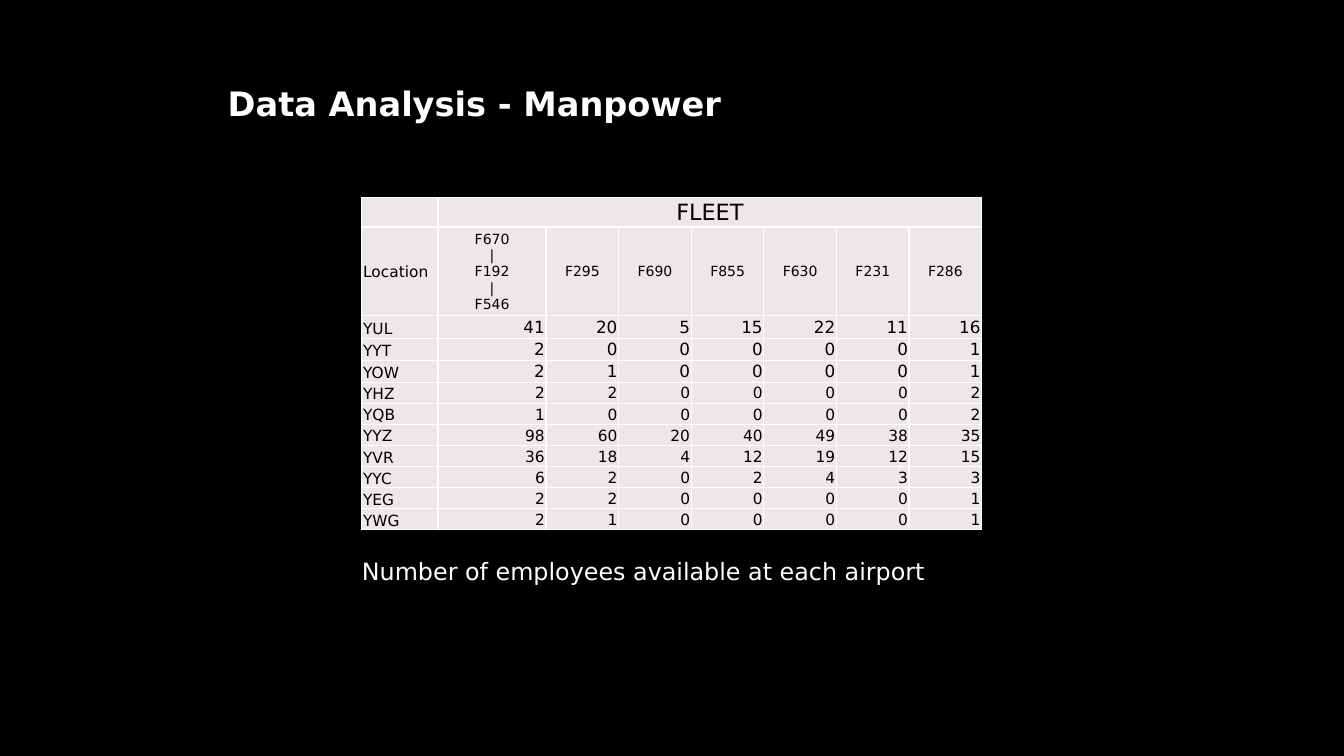
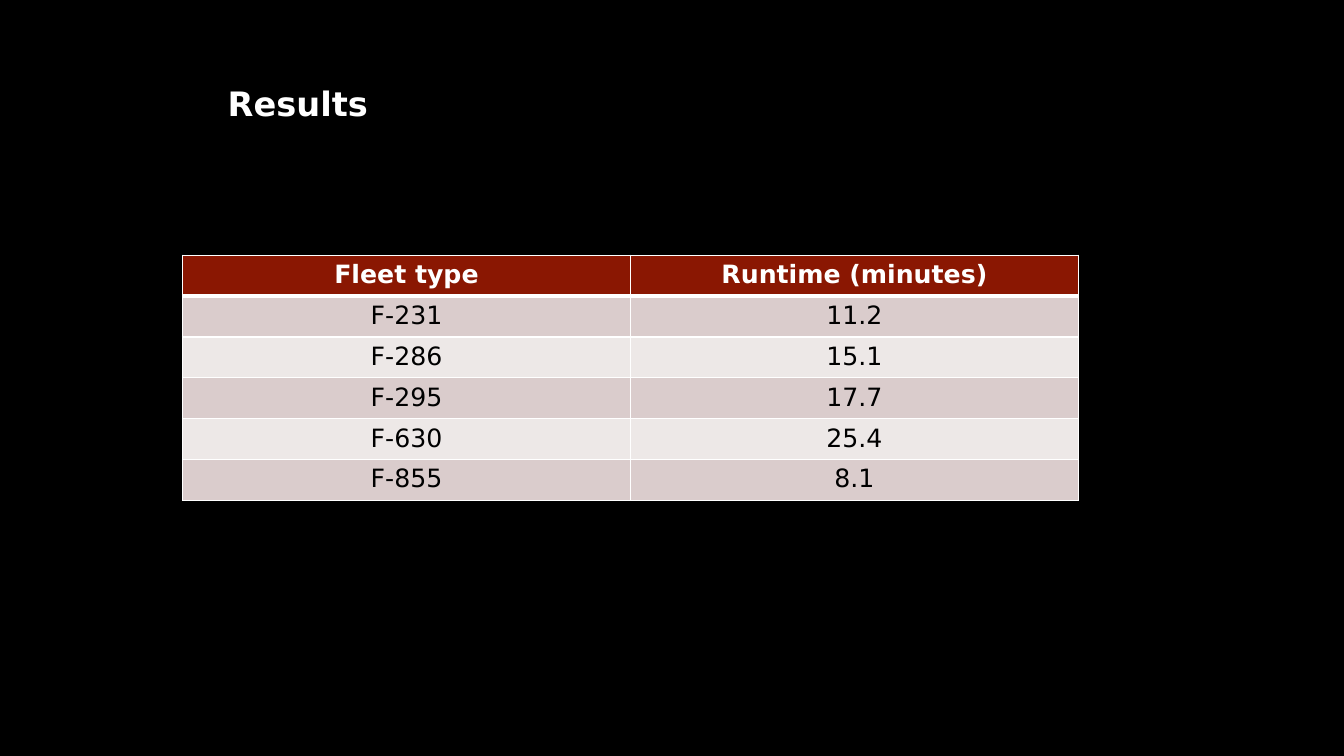
from dataclasses import dataclass

from pptx import Presentation
from pptx.dml.color import RGBColor
from pptx.enum.text import MSO_ANCHOR, PP_ALIGN
from pptx.oxml.xmlchemy import OxmlElement
from pptx.util import Cm, Pt

LEFT, CENTER, RIGHT = PP_ALIGN.LEFT, PP_ALIGN.CENTER, PP_ALIGN.RIGHT
TOP, MIDDLE, BOTTOM = MSO_ANCHOR.TOP, MSO_ANCHOR.MIDDLE, MSO_ANCHOR.BOTTOM
BLANK_LAYOUT = 6


@dataclass(frozen=True)
class Theme:
    font: str = "DejaVu Sans"
    background: str = "000000"
    light_text: str = "FFFFFF"
    dark_text: str = "000000"
    border: str = "FFFFFF"
    header: str = "8A1702"
    band_dark: str = "DACCCC"
    band_light: str = "EDE8E7"
    title_size: int = 24
    title_spacing: int = 28
    results_size: int = 18
    caption_size: int = 17
    fleet_size: int = 16
    count_size: int = 12
    label_size: int = 11
    code_size: int = 10
    thin_line: int = 1
    thick_line: int = 3


THEME = Theme()

FLEETS = ["F670\n|\nF192\n|\nF546", "F295", "F690", "F855", "F630", "F231", "F286"]
MANPOWER = [
    ("YUL", 41, 20, 5, 15, 22, 11, 16),
    ("YYT", 2, 0, 0, 0, 0, 0, 1),
    ("YOW", 2, 1, 0, 0, 0, 0, 1),
    ("YHZ", 2, 2, 0, 0, 0, 0, 2),
    ("YQB", 1, 0, 0, 0, 0, 0, 2),
    ("YYZ", 98, 60, 20, 40, 49, 38, 35),
    ("YVR", 36, 18, 4, 12, 19, 12, 15),
    ("YYC", 6, 2, 0, 2, 4, 3, 3),
    ("YEG", 2, 2, 0, 0, 0, 0, 1),
    ("YWG", 2, 1, 0, 0, 0, 0, 1),
]
TALL_ROWS = 3  # leading airports, set in the larger count size
RESULTS = [
    ("Fleet type", "Runtime (minutes)"),
    ("F-231", "11.2"),
    ("F-286", "15.1"),
    ("F-295", "17.7"),
    ("F-630", "25.4"),
    ("F-855", "8.1"),
]


# Text
def write(para, text, size, color, bold=False, align=LEFT):
    para.text = text
    para.alignment = align
    for span in para.runs:
        span.font.name = THEME.font
        span.font.size = Pt(size)
        span.font.bold = bold
        span.font.color.rgb = RGBColor.from_string(color)


def add_text(page, left, top, width, height, text, size, bold=False):
    box = page.shapes.add_textbox(Cm(left), Cm(top), Cm(width), Cm(height))
    frame = box.text_frame
    frame.word_wrap = True
    frame.margin_left = frame.margin_right = 0
    frame.margin_top = frame.margin_bottom = 0
    para = frame.paragraphs[0]
    write(para, text, size, THEME.light_text, bold)
    return para


# Pages
def add_page(deck, title):
    page = deck.slides.add_slide(deck.slide_layouts[BLANK_LAYOUT])
    fill = page.background.fill
    fill.solid()
    fill.fore_color.rgb = RGBColor.from_string(THEME.background)
    para = add_text(page, 5.74, 2.11, 26.64, 1.32, title, THEME.title_size, bold=True)
    para.line_spacing = Pt(THEME.title_spacing)
    return page


# Tables
def add_grid(page, left, top, widths, heights):
    frame = page.shapes.add_table(
        len(heights), len(widths),
        Cm(left), Cm(top), Cm(sum(widths)), Cm(sum(heights)),
    )
    table = frame.table
    for column, width in zip(table.columns, widths):
        column.width = Cm(width)
    for row, height in zip(table.rows, heights):
        row.height = Cm(height)
    return table


def add_border(cell, side, points):
    line = OxmlElement(f"a:ln{side}")
    line.set("w", str(Pt(points)))
    fill = OxmlElement("a:solidFill")
    color = OxmlElement("a:srgbClr")
    color.set("val", THEME.border)
    fill.append(color)
    line.append(fill)
    cell._tc.get_or_add_tcPr().append(line)


def style_cell(cell, fill, thick_sides=""):
    for side in "LRTB":
        add_border(cell, side, THEME.thick_line if side in thick_sides else THEME.thin_line)
    cell.fill.solid()
    cell.fill.fore_color.rgb = RGBColor.from_string(fill)


def fill_compact_cell(cell, text, size, align=LEFT, anchor=MIDDLE):
    style_cell(cell, THEME.band_light)
    cell.margin_left = cell.margin_right = cell.margin_top = Cm(0.03)
    cell.margin_bottom = 0
    cell.vertical_anchor = anchor
    para = cell.text_frame.paragraphs[0]
    write(para, text, size, THEME.dark_text, align=align)
    if not text:  # keep an empty cell from stretching its row
        end = OxmlElement("a:endParaRPr")
        end.set("sz", str(size * 100))
        para._p.append(end)


def add_manpower_table(page, left, top):
    widths = [1.92, 2.72] + [1.83] * (len(FLEETS) - 1)
    heights = [0.74, 2.24] + [0.56] * TALL_ROWS + [0.53] * (len(MANPOWER) - TALL_ROWS)
    table = add_grid(page, left, top, widths, heights)

    # Heading rows
    for col in range(len(widths)):
        fill_compact_cell(table.cell(0, col), "FLEET" if col == 1 else "",
                          THEME.fleet_size if col == 1 else THEME.label_size, CENTER)
    table.cell(0, 1).merge(table.cell(0, len(FLEETS)))
    fill_compact_cell(table.cell(1, 0), "Location", THEME.label_size)
    for col, fleet in enumerate(FLEETS, 1):
        fill_compact_cell(table.cell(1, col), fleet, THEME.code_size, CENTER)

    # Airport rows
    for index, (airport, *counts) in enumerate(MANPOWER):
        row = index + 2
        size = THEME.count_size if index < TALL_ROWS else THEME.label_size
        fill_compact_cell(table.cell(row, 0), airport, THEME.label_size, anchor=BOTTOM)
        for col, count in enumerate(counts, 1):
            fill_compact_cell(table.cell(row, col), str(count), size, RIGHT)


def add_results_table(page, left, top):
    table = add_grid(page, left, top, [11.29] * 2, [1.03] * len(RESULTS))
    for row, values in enumerate(RESULTS):
        heading = row == 0
        band = THEME.band_dark if row % 2 else THEME.band_light
        thick_sides = {0: "B", 1: "T"}.get(row, "")
        for col, text in enumerate(values):
            cell = table.cell(row, col)
            style_cell(cell, THEME.header if heading else band, thick_sides)
            cell.vertical_anchor = TOP
            write(cell.text_frame.paragraphs[0], text, THEME.results_size,
                  THEME.light_text if heading else THEME.dark_text, heading, CENTER)


def main():
    deck = Presentation()
    deck.slide_width, deck.slide_height = Cm(33.87), Cm(19.05)

    # Manpower
    page = add_page(deck, "Data Analysis - Manpower")
    add_manpower_table(page, 9.12, 4.98)
    add_text(page, 9.12, 14.02, 15.62, 1.47,
             "Number of employees available at each airport", THEME.caption_size)

    # Results
    page = add_page(deck, "Results")
    add_results_table(page, 4.6, 6.43)

    deck.save("out.pptx")


if __name__ == "__main__":
    main()
